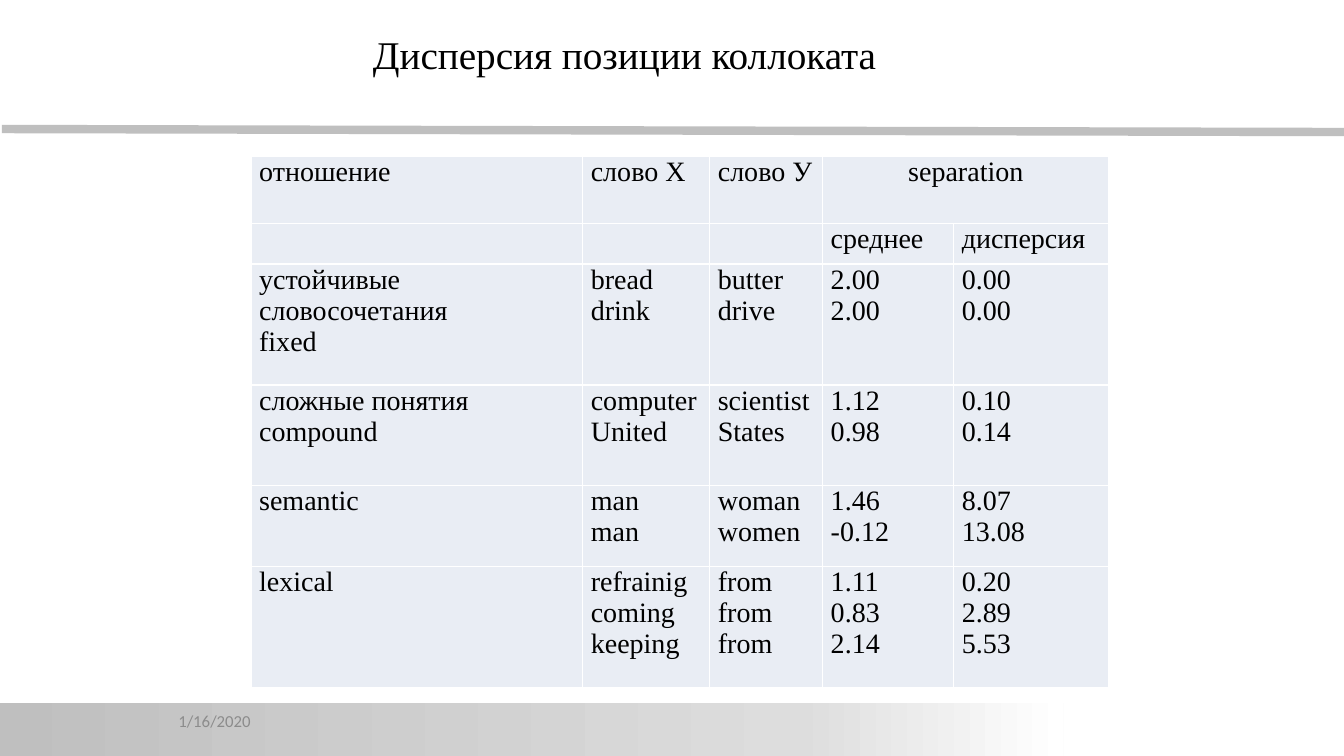
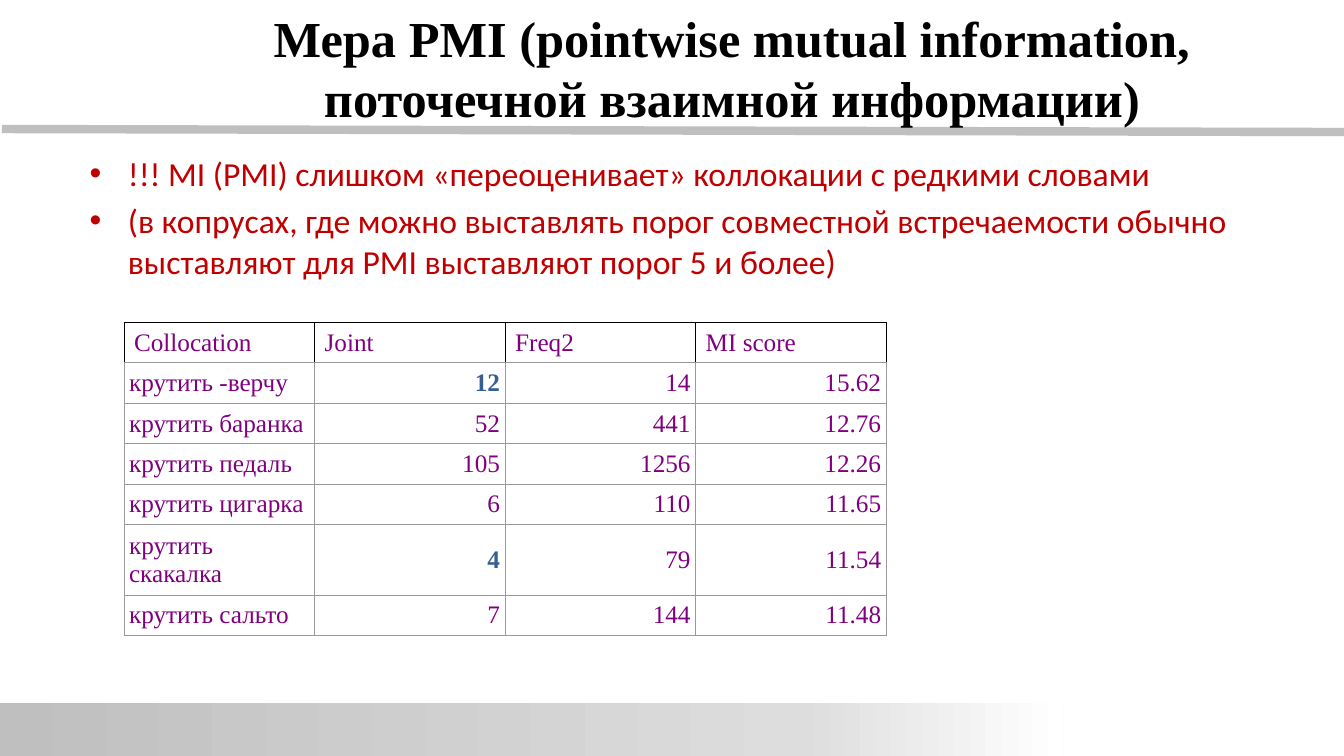
"""Build two slides on collocation measures."""
import copy

import pptx
import pptx.dml.color
import pptx.enum.shapes
import pptx.enum.text
import pptx.oxml
import pptx.oxml.ns
import pptx.oxml.xmlchemy
import pptx.util

Inches = pptx.util.Inches
Pt = pptx.util.Pt
RGB = pptx.dml.color.RGBColor.from_string
ALIGN = pptx.enum.text.PP_ALIGN
MIDDLE = pptx.enum.text.MSO_ANCHOR.MIDDLE
qn = pptx.oxml.ns.qn
node = pptx.oxml.xmlchemy.OxmlElement
HUES = {
    "black": "000000", "white": "FFFFFF", "band": "BFBFBF", "pale": "DDDDDD",
    "cell": "E9EDF4", "date": "8C8C8C", "red": "C00000", "edge": "999999",
    "plum": "800080", "blue": "376092",
}
SERIF, SANS = "Times New Roman", "Calibri"


def write(frame, text, size, hue="black", font=SERIF, bold=False, align=ALIGN.LEFT):
    frame.word_wrap = True
    for n, line in enumerate(text.split("\n")):
        para = frame.add_paragraph() if n else frame.paragraphs[0]
        para.alignment = align
        run = para.add_run()
        run.text = line
        run.font.size = Pt(size)
        run.font.name = font
        run.font.bold = bold
        run.font.color.rgb = RGB(HUES[hue])


def grid(slide, left, top, widths, heights, fill, edge, rim, thick):
    table = slide.shapes.add_table(
        len(heights), len(widths), Inches(left), Inches(top),
        Inches(sum(widths)), Inches(sum(heights))).table
    table.first_row = table.horz_banding = False
    for col, width in zip(table.columns, widths):
        col.width = Inches(width)
    for r, height in enumerate(heights):
        table.rows[r].height = Inches(height)
        for cell in table.rows[r].cells:
            props = cell._tc.get_or_add_tcPr()
            for side in "LRTB":
                hue = HUES[rim if r == 0 and side != "B" else edge]
                props.append(pptx.oxml.parse_xml(
                    f'<a:ln{side} {pptx.oxml.ns.nsdecls("a")} w="{Pt(thick)}">'
                    f'<a:solidFill><a:srgbClr val="{hue}"/></a:solidFill></a:ln{side}>'))
            cell.fill.solid()
            cell.fill.fore_color.rgb = RGB(HUES[fill])
    return table


deck = pptx.Presentation()
deck.slide_width, deck.slide_height = Inches(13.33), Inches(7.5)
first, second = [deck.slides.add_slide(deck.slide_layouts[6]) for _ in range(2)]

for slide in (first, second):
    rule = slide.shapes.add_connector(
        pptx.enum.shapes.MSO_CONNECTOR.STRAIGHT,
        Inches(0.02), Inches(1.28), Inches(13.35), Inches(1.31))
    rule.line.color.rgb = RGB(HUES["band"])
    rule.line.width = Pt(6)
    rule._element.spPr.append(node("a:effectLst"))

    band = slide.shapes.add_shape(
        pptx.enum.shapes.MSO_SHAPE.RECTANGLE,
        Inches(-0.01), Inches(6.97), Inches(10.56), Inches(0.57))
    band.shadow.inherit = False
    band.line.fill.background()
    band.fill.gradient()
    band.fill.gradient_angle = 0
    stops = band._element.spPr.find(".//" + qn("a:gsLst"))
    stops.insert(1, copy.deepcopy(stops[0]))
    shades = [(0, "band"), (0.75, "pale"), (1, "white")]
    for stop, (place, hue) in zip(band.fill.gradient_stops, shades):
        stop.position = place
        stop.color.rgb = RGB(HUES[hue])

words = [
    ["отношение", "слово Х", "слово У", "separation", ""],
    ["", "", "", "среднее", "дисперсия"],
    ["устойчивые словосочетания\nfixed", "bread\ndrink", "butter\ndrive",
     "2.00\n2.00", "0.00\n0.00"],
    ["сложные понятия\ncompound", "computer\nUnited", "scientist\nStates",
     "1.12\n0.98", "0.10\n0.14"],
    ["semantic", "man\nman", "woman\nwomen", "1.46\n-0.12", "8.07\n13.08"],
    ["lexical", "refrainig\ncoming\nkeeping", "from\nfrom\nfrom",
     "1.11\n0.83\n2.14", "0.20\n2.89\n5.53"],
]
table = grid(first, 2.49, 1.55, [3.29, 1.26, 1.12, 1.3, 1.54],
             [0.67, 0.4, 1.2, 1, 0.8, 1.2], "cell", "white", "white", 1)
table.cell(0, 3).merge(table.cell(0, 4))
for r, row in enumerate(words):
    for c, text in enumerate(row):
        cell = table.cell(r, c)
        cell.margin_left = cell.margin_right = Inches(0.08)
        cell.margin_top = cell.margin_bottom = 0
        if text:
            write(cell.text_frame, text, 20,
                  align=ALIGN.CENTER if text == "separation" else ALIGN.LEFT)

date = first.shapes.add_textbox(Inches(1.67), Inches(6.95), Inches(2.33), Inches(0.4))
date.text_frame.vertical_anchor = MIDDLE
write(date.text_frame, "1/16/2020", 12, "date", SANS)

title = first.shapes.add_textbox(Inches(3.6), Inches(0.25), Inches(7.7), Inches(0.57))
write(title.text_frame, "Дисперсия позиции коллоката", 28)

body = second.shapes.add_textbox(Inches(0.79), Inches(1.47), Inches(11.66), Inches(5.04))
write(body.text_frame,
      "!!! MI (PMI) слишком «переоценивает» коллокации с редкими словами\n"
      "(в копрусах, где можно выставлять порог совместной встречаемости обычно "
      "выставляют для PMI выставляют порог 5 и более)", 24, "red", SANS)
for para in body.text_frame.paragraphs:
    para.space_before = Pt(4.8)
    props = para._p.get_or_add_pPr()
    props.set("marL", str(Inches(0.38)))
    props.set("indent", str(Inches(-0.38)))
    for tag, key, value in [("a:buFont", "typeface", "Arial"), ("a:buChar", "char", "•")]:
        mark = node(tag)
        mark.set(key, value)
        props.append(mark)

title = second.shapes.add_textbox(Inches(2.57), Inches(0.01), Inches(9.38), Inches(1.32))
title.text_frame.vertical_anchor = MIDDLE
write(title.text_frame,
      "Мера PMI (pointwise mutual information, поточечной взаимной информации)",
      36, bold=True, align=ALIGN.CENTER)

scores = [
    ["Collocation", "Joint", "Freq2", "MI score"],
    ["крутить -верчу", "12", "14", "15.62"],
    ["крутить баранка", "52", "441", "12.76"],
    ["крутить педаль", "105", "1256", "12.26"],
    ["крутить цигарка", "6", "110", "11.65"],
    ["крутить скакалка", "4", "79", "11.54"],
    ["крутить сальто", "7", "144", "11.48"],
]
table = grid(second, 1.23, 3.2, [1.89] * 4, [0.38] * 5 + [0.65, 0.38],
             "white", "edge", "black", 0.75)
for r, row in enumerate(scores):
    for c, text in enumerate(row):
        cell = table.cell(r, c)
        cell.vertical_anchor = MIDDLE
        cell.margin_left = cell.margin_right = Inches(0.05 if r else 0.1)
        cell.margin_top = cell.margin_bottom = Inches(0.05)
        strong = text in ("12", "4")
        write(cell.text_frame, text, 18, "blue" if strong else "plum", bold=strong,
              align=ALIGN.RIGHT if r and c else ALIGN.LEFT)

deck.save("out.pptx")
